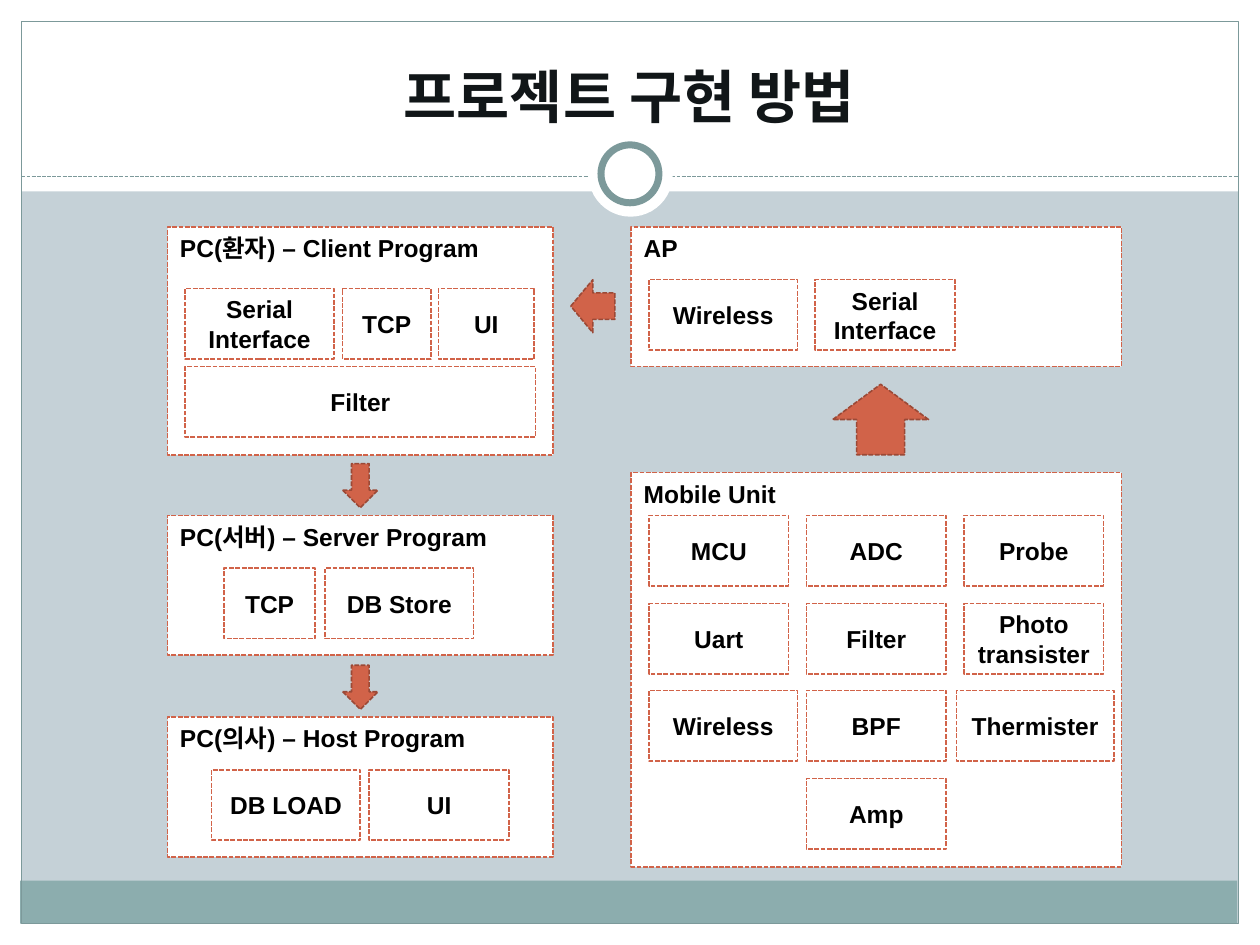
from lxml.etree import SubElement
from pptx import Presentation
from pptx.dml.color import RGBColor
from pptx.enum.dml import MSO_LINE
from pptx.enum.shapes import MSO_CONNECTOR, MSO_SHAPE
from pptx.enum.text import MSO_ANCHOR, PP_ALIGN
from pptx.oxml.ns import qn
from pptx.util import Inches, Pt

KOREAN_FONT = "Noto Sans CJK KR"
TEAL, ORANGE, WHITE = "7C999A", "D16349", "FFFFFF"


def add_shape(kind, box, fill=None, line=None, width=0.9, dashed=False):
    shape = slide.shapes.add_shape(kind, *[Inches(value) for value in box])
    shape.shadow.inherit = False
    if fill:
        shape.fill.solid()
        shape.fill.fore_color.rgb = RGBColor.from_string(fill)
    else:
        shape.fill.background()
    if line:
        shape.line.color.rgb = RGBColor.from_string(line)
        shape.line.width = Pt(width)
        if dashed:
            shape.line.dash_style = MSO_LINE.SQUARE_DOT
    else:
        shape.line.fill.background()
    return shape


def set_text(shape, text, size, color, latin, align, anchor):
    frame = shape.text_frame
    frame.word_wrap = True
    frame.vertical_anchor = anchor
    frame.text = text
    paragraph = frame.paragraphs[0]
    paragraph.alignment = align
    font = paragraph.runs[0].font
    font.size, font.bold, font.name = Pt(size), True, latin
    font.color.rgb = RGBColor.from_string(color)
    properties = paragraph.runs[0].font._element
    SubElement(properties, qn("a:ea")).set("typeface", KOREAN_FONT)


presentation = Presentation()
presentation.slide_width, presentation.slide_height = Inches(10), Inches(7.5)
slide = presentation.slides.add_slide(presentation.slide_layouts[5])
slide.background.fill.solid()
slide.background.fill.fore_color.rgb = RGBColor.from_string("C5D1D7")

# White margins, footer band and frame
for margin in [(0, 7.33, 10, 0.17), (0, 0, 10, 1.52), (0, 0, 0.17, 7.5), (9.83, 0, 0.17, 7.5)]:
    add_shape(MSO_SHAPE.RECTANGLE, margin, WHITE)
add_shape(MSO_SHAPE.RECTANGLE, (0.16, 6.99, 9.66, 0.34), "8CADAE")
add_shape(MSO_SHAPE.RECTANGLE, (0.17, 0.17, 9.66, 7.16), line=TEAL, width=0.75)

# Dashed divider with ring
divider = slide.shapes.add_connector(
    MSO_CONNECTOR.STRAIGHT, Inches(0.17), Inches(1.4), Inches(9.83), Inches(1.4))
divider.line.color.rgb = RGBColor.from_string(TEAL)
divider.line.width = Pt(0.75)
divider.line.dash_style = MSO_LINE.SQUARE_DOT
SubElement(divider.element.spPr, qn("a:effectLst"))
add_shape(MSO_SHAPE.OVAL, (4.67, 1.05, 0.67, 0.67), WHITE)
ring = add_shape(MSO_SHAPE.OVAL, (4.77, 1.15, 0.46, 0.46), WHITE, TEAL, 4)

# Title, brought in front of the white band
title = slide.shapes.title
title.left, title.top, title.width, title.height = [
    Inches(value) for value in (0.33, 0.25, 9.33, 0.83)]
set_text(title, "프로젝트 구현 방법", 33, "111618", KOREAN_FONT, PP_ALIGN.CENTER, MSO_ANCHOR.BOTTOM)
ring.element.addnext(title.element)

# Panels: heading, box, then modules as (text, left, top, width)
columns, rows = (5.15, 6.4, 7.65), (4.09, 4.79, 5.48, 6.18)
panels = [
    ("PC(환자) – Client Program", (1.33, 1.8, 3.06, 1.81), [
        ("Serial Interface", 1.47, 2.29, 1.18),
        ("TCP", 2.72, 2.29, 0.7),
        ("UI", 3.48, 2.29, 0.76),
        ("Filter", 1.47, 2.91, 2.78)]),
    ("PC(서버) – Server Program", (1.33, 4.09, 3.06, 1.11), [
        ("TCP", 1.78, 4.51, 0.72),
        ("DB Store", 2.58, 4.51, 1.18)]),
    ("PC(의사) – Host Program", (1.33, 5.69, 3.06, 1.11), [
        ("DB LOAD", 1.68, 6.11, 1.18),
        ("UI", 2.93, 6.11, 1.11)]),
    ("AP", (5.01, 1.8, 3.89, 1.11), [
        ("Wireless", 5.15, 2.22, 1.18),
        ("Serial Interface", 6.47, 2.22, 1.11)]),
    ("Mobile Unit", (5.01, 3.75, 3.89, 3.13), [
        ("MCU", columns[0], rows[0], 1.11),
        ("ADC", columns[1], rows[0], 1.11),
        ("Probe", columns[2], rows[0], 1.11),
        ("Uart", columns[0], rows[1], 1.11),
        ("Filter", columns[1], rows[1], 1.11),
        ("Photo transister", columns[2], rows[1], 1.11),
        ("Wireless", columns[0], rows[2], 1.18),
        ("BPF", columns[1], rows[2], 1.11),
        ("Thermister", 7.59, rows[2], 1.25),
        ("Amp", columns[1], rows[3], 1.11)]),
]
for heading, box, modules in panels:
    panel = add_shape(MSO_SHAPE.RECTANGLE, box, WHITE, ORANGE, dashed=True)
    set_text(panel, heading, 14, "000000", "Arial", PP_ALIGN.LEFT, MSO_ANCHOR.TOP)
    for text, left, top, width in modules:
        module = add_shape(MSO_SHAPE.RECTANGLE, (left, top, width, 0.56), WHITE, ORANGE, dashed=True)
        set_text(module, text, 14, "000000", "Arial", PP_ALIGN.CENTER, MSO_ANCHOR.MIDDLE)

# Flow arrows
for kind, box in [
    (MSO_SHAPE.UP_ARROW, (6.61, 3.05, 0.76, 0.56)),
    (MSO_SHAPE.LEFT_ARROW, (4.53, 2.22, 0.35, 0.42)),
    (MSO_SHAPE.DOWN_ARROW, (2.72, 3.68, 0.28, 0.35)),
    (MSO_SHAPE.DOWN_ARROW, (2.72, 5.28, 0.28, 0.35)),
]:
    add_shape(kind, box, ORANGE, "9B4936", dashed=True)

presentation.save("out.pptx")
